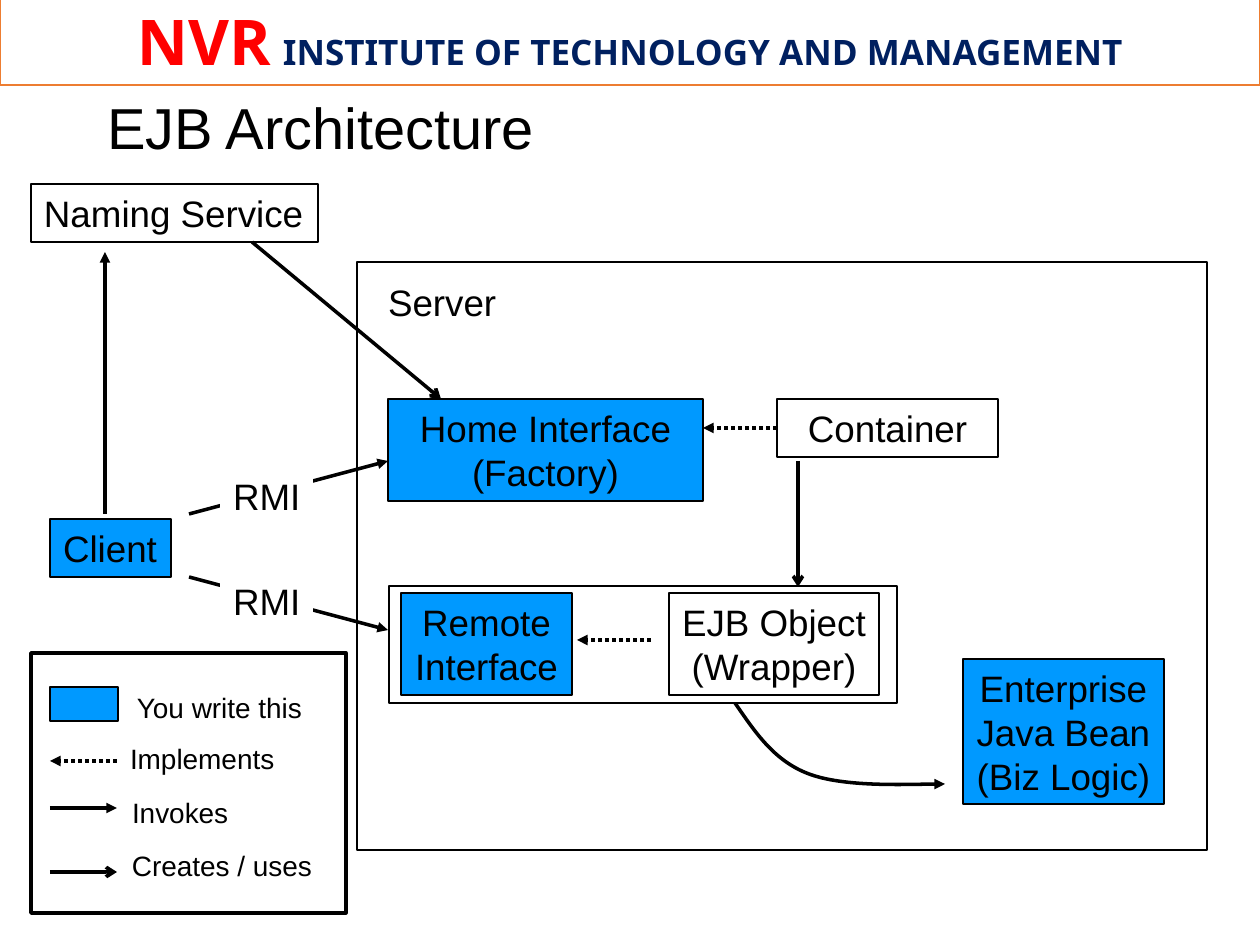
from dataclasses import dataclass
from typing import Optional

from lxml.etree import SubElement
from pptx import Presentation
from pptx.dml.color import RGBColor
from pptx.enum.dml import MSO_LINE
from pptx.enum.shapes import MSO_CONNECTOR, MSO_SHAPE
from pptx.enum.text import MSO_ANCHOR, MSO_AUTO_SIZE, PP_ALIGN
from pptx.oxml.ns import qn
from pptx.util import Emu, Pt

BLACK = RGBColor(0x00, 0x00, 0x00)
WHITE = RGBColor(0xFF, 0xFF, 0xFF)
BLUE = RGBColor(0x00, 0x99, 0xFF)
RED = RGBColor(0xFF, 0x00, 0x00)
NAVY = RGBColor(0x00, 0x20, 0x60)
ORANGE = RGBColor(0xED, 0x7D, 0x31)

EMU_PER_PX = 914400 / 126


def px(length: int) -> Emu:
    return Emu(round(length * EMU_PER_PX))


@dataclass(frozen=True)
class Box:
    left: int
    top: int
    width: int
    height: int
    lines: tuple[str, ...] = ()
    fill: Optional[RGBColor] = None
    border: float = 0.75
    align: PP_ALIGN = PP_ALIGN.CENTER
    wrap: bool = False
    border_color: RGBColor = BLACK


@dataclass(frozen=True)
class Arrow:
    start: tuple[int, int]
    end: tuple[int, int]
    head: str = "triangle"
    dotted: bool = False


@dataclass(frozen=True)
class LegendEntry:
    left: int
    top: int
    width: int
    text: str


FRAMES = [
    Box(31, 653, 315, 260, border=2),
    Box(357, 262, 850, 588, fill=WHITE),
    Box(389, 586, 508, 117),
    Box(50, 687, 68, 34, fill=BLUE),
]
NODES = [
    Box(50, 519, 121, 58, ("Client",), BLUE, align=PP_ALIGN.LEFT),
    Box(375, 273, 134, 57, ("Server",), WHITE, 0, PP_ALIGN.LEFT),
    Box(388, 399, 315, 102, ("Home Interface", "(Factory)"), BLUE, wrap=True),
    Box(669, 593, 210, 102, ("EJB Object", "(Wrapper)"), WHITE),
    Box(963, 659, 201, 145, ("Enterprise", "Java Bean", "(Biz Logic)"), BLUE),
    Box(401, 593, 171, 102, ("Remote", "Interface"), BLUE),
    Box(31, 184, 287, 58, ("Naming Service",), WHITE, align=PP_ALIGN.LEFT),
]
CONTAINER = Box(777, 399, 221, 58, ("Container",), WHITE, wrap=True)
CONTAINER_IMPLEMENTS_HOME = Arrow((777, 428), (703, 428), dotted=True)
ARROWS = [
    Arrow((117, 761), (50, 761), dotted=True),
    Arrow((50, 808), (117, 808)),
    Arrow((50, 872), (117, 872), "arrow"),
    Arrow((651, 640), (577, 640), dotted=True),
    Arrow((798, 461), (798, 587), "arrow"),
    Arrow((189, 514), (388, 461)),
    Arrow((189, 577), (388, 630)),
    Arrow((252, 242), (441, 399), "arrow"),
    Arrow((105, 514), (105, 252)),
]
RMI_LABELS = [
    Box(220, top, 93, 57, ("RMI",), WHITE, 0, PP_ALIGN.LEFT) for top in (467, 572)
]
LEGEND = [
    LegendEntry(132, 688, 179, "You write this"),
    LegendEntry(125, 739, 155, "Implements"),
    LegendEntry(127, 793, 107, "Invokes"),
    LegendEntry(127, 846, 192, "Creates / uses"),
]
BEAN_CURVE_START = (735, 703)
BEAN_CURVE_POINTS = [
    (755, 732), (774, 761), (809, 774),
    (844, 787), (916, 784), (945, 784),
]


def write_lines(frame, lines: tuple[str, ...], size: int, align: PP_ALIGN,
                margins: tuple[int, int], wrap: bool = False) -> None:
    frame.word_wrap = wrap
    frame.auto_size = MSO_AUTO_SIZE.NONE
    frame.margin_left = frame.margin_right = px(margins[0])
    frame.margin_top = frame.margin_bottom = px(margins[1])
    for index, line in enumerate(lines):
        paragraph = frame.paragraphs[0] if index == 0 else frame.add_paragraph()
        paragraph.text = line
        paragraph.alignment = align
        paragraph.font.name = "Arial"
        paragraph.font.size = Pt(size)
        paragraph.font.color.rgb = BLACK


def draw_box(slide, box: Box):
    shape = slide.shapes.add_shape(
        MSO_SHAPE.RECTANGLE, px(box.left), px(box.top), px(box.width), px(box.height))
    shape.shadow.inherit = False
    if box.fill is None:
        shape.fill.background()
    else:
        shape.fill.solid()
        shape.fill.fore_color.rgb = box.fill
    if box.border:
        shape.line.color.rgb = box.border_color
        shape.line.width = Pt(box.border)
    else:
        shape.line.fill.background()
    if box.lines:
        write_lines(shape.text_frame, box.lines, 21, box.align, (13, 6), box.wrap)
    return shape


def style_arrow(shape, head: str, dotted: bool = False) -> None:
    shape.line.color.rgb = BLACK
    shape.line.width = Pt(2)
    if dotted:
        shape.line.dash_style = MSO_LINE.ROUND_DOT
    SubElement(shape.line._get_or_add_ln(), qn("a:tailEnd"), type=head)


def draw_arrow(slide, arrow: Arrow):
    connector = slide.shapes.add_connector(
        MSO_CONNECTOR.STRAIGHT, *map(px, arrow.start), *map(px, arrow.end))
    style_arrow(connector, arrow.head, arrow.dotted)
    SubElement(connector._element.spPr, qn("a:effectLst"))
    return connector


def draw_bean_curve(slide) -> None:
    builder = slide.shapes.build_freeform(*BEAN_CURVE_START, scale=EMU_PER_PX)
    builder.add_line_segments(BEAN_CURVE_POINTS, close=False)
    curve = builder.convert_to_shape()
    outline = next(curve._element.iter(qn("a:path")))
    segments = outline.findall(qn("a:lnTo"))
    for first in range(0, len(segments), 3):
        bezier = SubElement(outline, qn("a:cubicBezTo"))
        for segment in segments[first:first + 3]:
            bezier.append(segment[0])
            outline.remove(segment)
    curve.shadow.inherit = False
    curve.fill.background()
    style_arrow(curve, "triangle")


def draw_header(slide) -> None:
    banner = draw_box(
        slide, Box(0, -4, 1260, 89, fill=WHITE, border=1, border_color=ORANGE))
    paragraph = banner.text_frame.paragraphs[0]
    paragraph.alignment = PP_ALIGN.CENTER
    paragraph.space_after = Pt(2)
    paragraph.font.name = "Noto Sans"
    paragraph.font.bold = True
    for text, size, color in (
        ("NVR", 36, RED),
        (" ", 27, RED),
        ("INSTITUTE OF TECHNOLOGY AND MANAGEMENT", 20, NAVY),
    ):
        run = paragraph.add_run()
        run.text = text
        run.font.size = Pt(size)
        run.font.color.rgb = color


def draw_title(slide) -> None:
    title = slide.shapes.title
    title.left, title.top, title.width, title.height = map(px, (94, 94, 1071, 95))
    write_lines(title.text_frame, ("EJB Architecture",), 33, PP_ALIGN.LEFT, (13, 6), True)
    title.text_frame.vertical_anchor = MSO_ANCHOR.TOP
    title.text_frame.paragraphs[0].line_spacing = 0.9


def main() -> None:
    presentation = Presentation()
    presentation.slide_width, presentation.slide_height = px(1260), px(945)
    slide = presentation.slides.add_slide(presentation.slide_layouts[5])
    draw_header(slide)
    draw_title(slide)
    for box in FRAMES + NODES:
        draw_box(slide, box)
    container = draw_box(slide, CONTAINER)
    draw_arrow(slide, CONTAINER_IMPLEMENTS_HOME).begin_connect(container, 1)
    for arrow in ARROWS:
        draw_arrow(slide, arrow)
    draw_bean_curve(slide)
    for label in RMI_LABELS:
        draw_box(slide, label)
    for entry in LEGEND:
        caption = slide.shapes.add_textbox(
            px(entry.left), px(entry.top), px(entry.width), px(39))
        write_lines(caption.text_frame, (entry.text,), 16, PP_ALIGN.LEFT, (5, 3))
    presentation.save("out.pptx")


if __name__ == "__main__":
    main()
